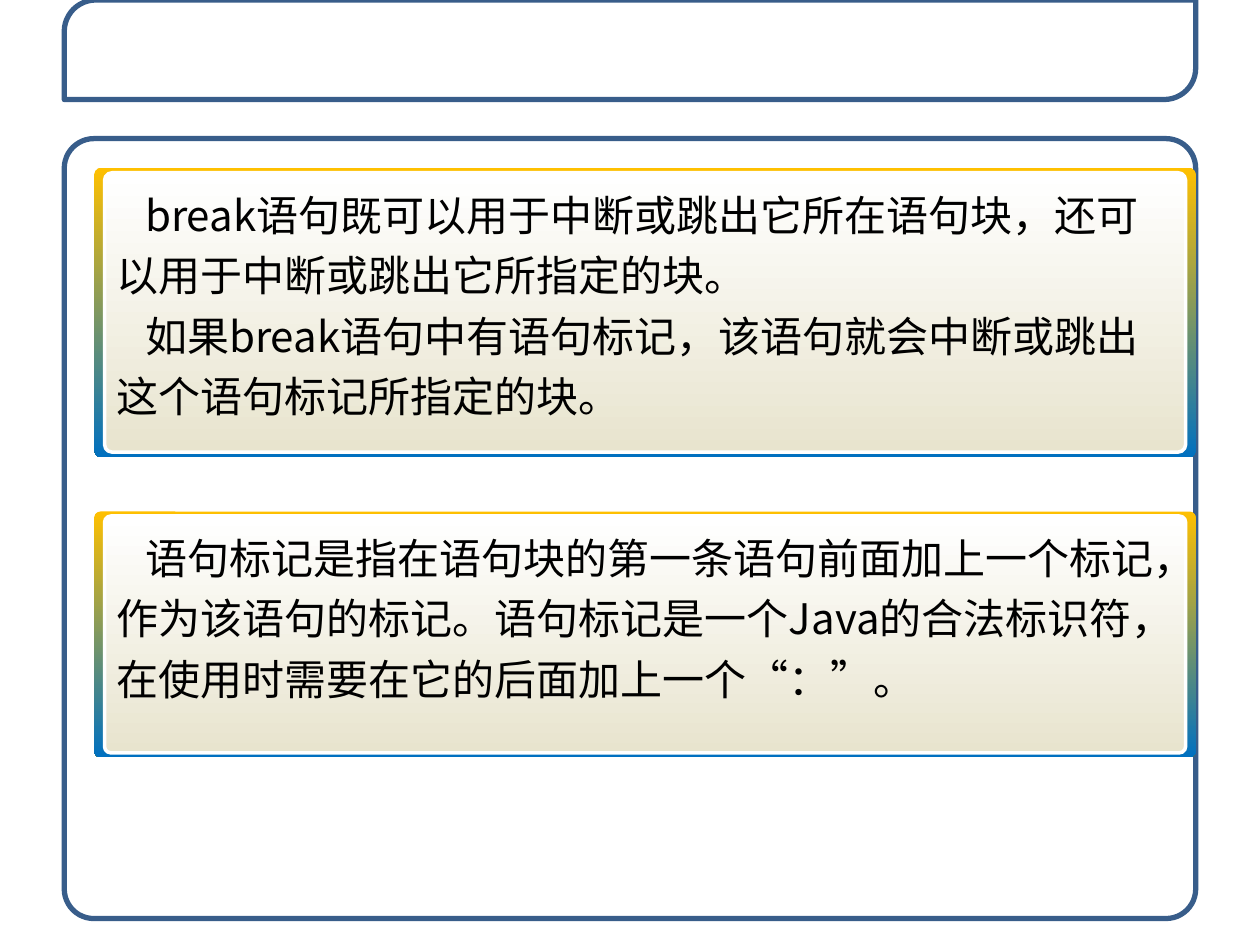
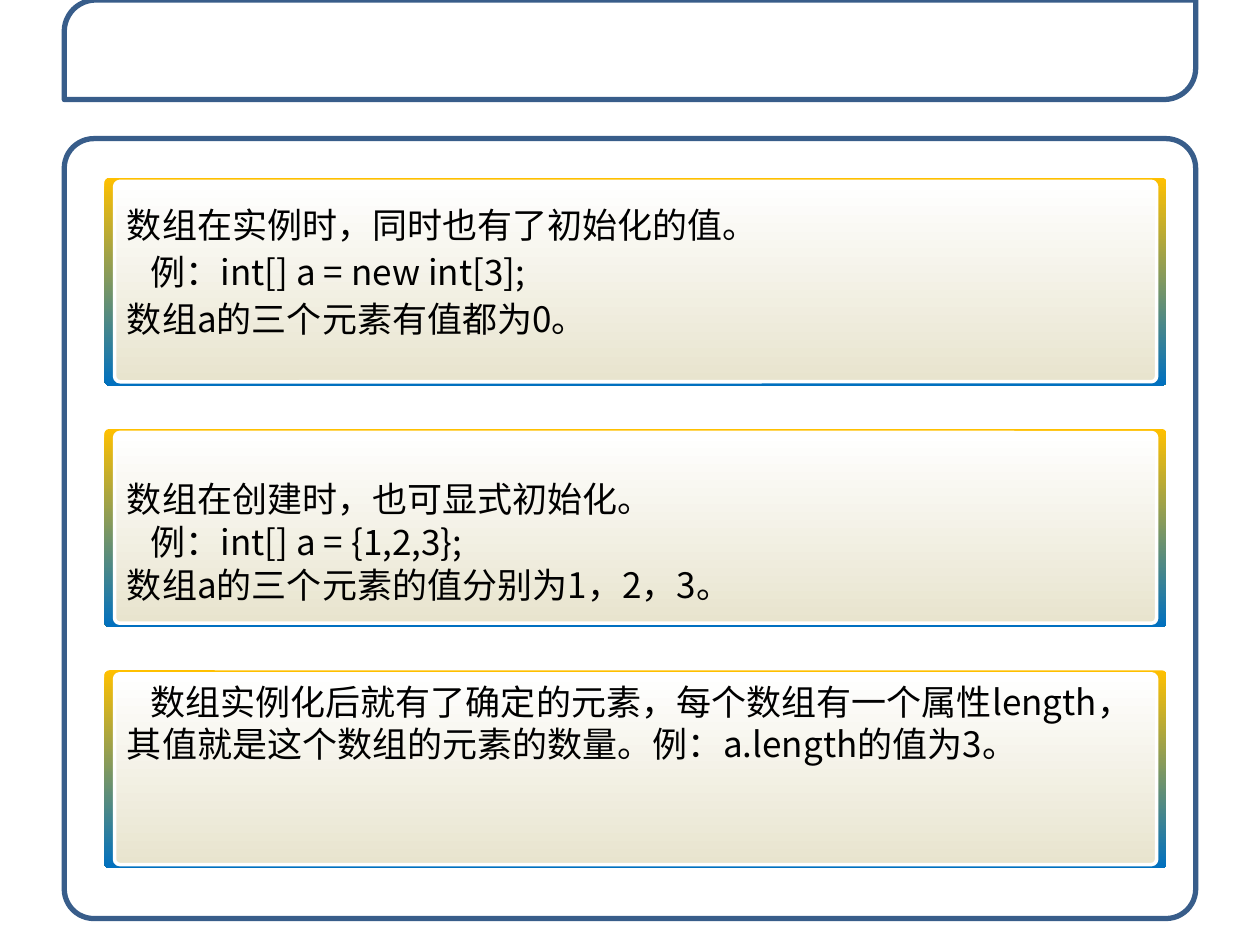
from dataclasses import dataclass

from lxml.etree import SubElement
from pptx import Presentation
from pptx.dml.color import RGBColor
from pptx.enum.shapes import MSO_SHAPE as Shape
from pptx.enum.text import MSO_ANCHOR as Anchor, MSO_AUTO_SIZE as AutoSize
from pptx.oxml.ns import qn
from pptx.util import Inches, Pt

COLORS = {
    "white": "FFFFFF",
    "frame": "385D8A",
    "gold": "FFC000",
    "blue": "0070C0",
    "sand": "E8E4CE",
    "text": "000000",
}
FONT = "Noto Sans CJK SC"
COLS, ROWS = 100, 75
INDENT_EM = 0.67


@dataclass
class Card:
    """Text and paragraph settings of one card; lengths are grid rows."""
    height: float
    text_height: float
    paras: list
    indented: tuple = ()
    spacing: float = 1.0
    before: float = 0
    inset_top: float = 0.5
    text_offset: float = 0
    anchor: Anchor = Anchor.TOP


class Deck:
    """Holds the style, the presentation and the current slide."""

    def __init__(self):
        self.prs = Presentation()
        self.prs.slide_width, self.prs.slide_height = Inches(10), Inches(7.5)
        self.s = None

    def grid(self, left, top, width, height):
        """Turn columns and rows into slide lengths."""
        col, row = self.prs.slide_width / COLS, self.prs.slide_height / ROWS
        return [round(n * u) for n, u in
                zip((left, top, width, height), (col, row, col, row))]

    def slide(self):
        """Start a slide with the shared header band and body frame."""
        self.s = self.prs.slides.add_slide(self.prs.slide_layouts[6])
        self.frame(Shape.ROUNDED_RECTANGLE, (5.1, 11, 89.8, 61.9), [0.038])
        self.frame(Shape.ROUND_2_DIAG_RECTANGLE, (5.1, 0, 89.8, 7.9), [0.316, 0])

    def shape(self, parent, kind, box, adjustments, line=None, width=0):
        """Add a preset shape with an optional outline."""
        sp = parent.shapes.add_shape(kind, *self.grid(*box))
        sp.shadow.inherit = False
        for i, value in enumerate(adjustments):
            sp.adjustments[i] = value
        if line:
            sp.line.color.rgb = RGBColor.from_string(COLORS[line])
            sp.line.width = Pt(width)
        else:
            sp.line.fill.background()
        return sp

    def frame(self, kind, box, adjustments):
        """Add an outlined frame with a slightly transparent white fill."""
        sp = self.shape(self.s, kind, box, adjustments, "frame", 3)
        sp.fill.solid()
        sp.fill.fore_color.rgb = RGBColor.from_string(COLORS["white"])
        color = sp._element.spPr.find(qn("a:solidFill"))[0]
        SubElement(color, qn("a:alpha")).set("val", "85000")

    def gradient_box(self, parent, box, rounding, colors, **outline):
        """Add a rounded box shaded from top to bottom."""
        sp = self.shape(parent, Shape.ROUNDED_RECTANGLE, box, [rounding], **outline)
        sp.fill.gradient()
        sp.fill.gradient_angle = 270
        for stop, name in zip(sp.fill.gradient_stops, colors):
            stop.color.rgb = RGBColor.from_string(COLORS[name])

    def text(self, parent, box, card, size):
        """Add the paragraphs of a card."""
        tf = parent.shapes.add_textbox(*self.grid(*box)).text_frame
        tf.word_wrap = True
        tf.auto_size = AutoSize.SHAPE_TO_FIT_TEXT
        tf.vertical_anchor = card.anchor
        tf.margin_top = self.grid(0, card.inset_top, 0, 0)[1]
        for i, words in enumerate(card.paras):
            p = tf.add_paragraph() if i else tf.paragraphs[0]
            p.line_spacing, p.space_before = card.spacing, Pt(card.before)
            if i in card.indented:
                p._p.get_or_add_pPr().set("indent", str(int(Pt(size * INDENT_EM))))
            r = p.add_run()
            r.text = words
            r.font.size, r.font.name = Pt(size), FONT
            r.font.color.rgb = RGBColor.from_string(COLORS["text"])
            SubElement(r._r.get_or_add_rPr(), qn("a:ea")).set("typeface", FONT)

    def card(self, left, top, width, card, size):
        """Add a gold-to-blue card with its inner panel and text."""
        g = self.s.shapes.add_group_shape()
        dx, dy = 0.8, card.height * 0.018
        x, y, w = left + dx, top + dy, width - 2 * dx
        self.gradient_box(g, (left, top, width, card.height), 0.024,
                          ("gold", "blue"))
        self.gradient_box(g, (x, y, w, card.height - 2 * dy), 0.027,
                          ("white", "sand"), line="white", width=2)
        self.text(g, (x, y + card.text_offset, w, card.text_height), card, size)

    def stack(self, left, top, width, gap, size, cards):
        """Place cards below each other with equal gaps."""
        for card in cards:
            self.card(left, top, width, card, size)
            top += card.height + gap


def main():
    """Build both slides and save them."""
    deck = Deck()

    deck.slide()
    deck.stack(7.5, 13.3, 87.4, 4.3, 24, [
        Card(23, 20.2, [
            "break语句既可以用于中断或跳出它所在语句块，还可以用于中断或跳出它所指定的块。",
            "如果break语句中有语句标记，该语句就会中断或跳出这个语句标记所指定的块。",
        ], indented=(0, 1), spacing=1.2),
        Card(19.5, 15.4, [
            "语句标记是指在语句块的第一条语句前面加上一个标记，作为该语句的标记。"
            "语句标记是一个Java的合法标识符，在使用时需要在它的后面加上一个“：”。",
        ], indented=(0,), spacing=1.2),
    ])

    deck.slide()
    deck.stack(8.3, 14.1, 84.3, 3.45, 20, [
        Card(16.5, 12.9, [
            "数组在实例时，同时也有了初始化的值。",
            "例：int[] a = new int[3];",
            "数组a的三个元素有值都为0。",
        ], indented=(1,), spacing=0.6, before=12.5, inset_top=2.9),
        Card(15.7, 13.1, [
            "数组在创建时，也可显式初始化。",
            "例：int[] a = {1,2,3};",
            "数组a的三个元素的值分别为1，2，3。",
        ], indented=(1,), spacing=0.5, before=12.5, inset_top=4.1,
            text_offset=0.9, anchor=Anchor.MIDDLE),
        Card(15.7, 7.7, [
            "数组实例化后就有了确定的元素，每个数组有一个属性length，"
            "其值就是这个数组的元素的数量。例：a.length的值为3。",
        ], indented=(0,), before=12.5),
    ])

    deck.prs.save("out.pptx")


if __name__ == "__main__":
    main()
